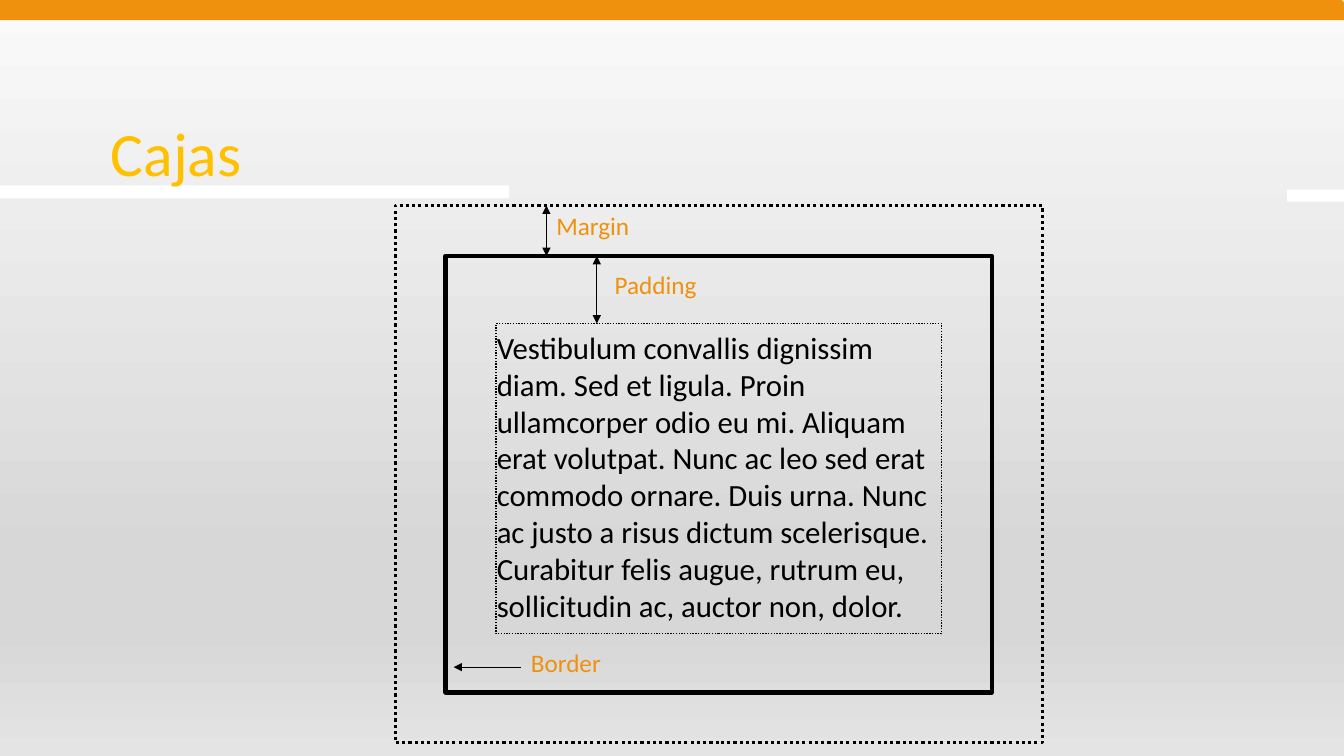
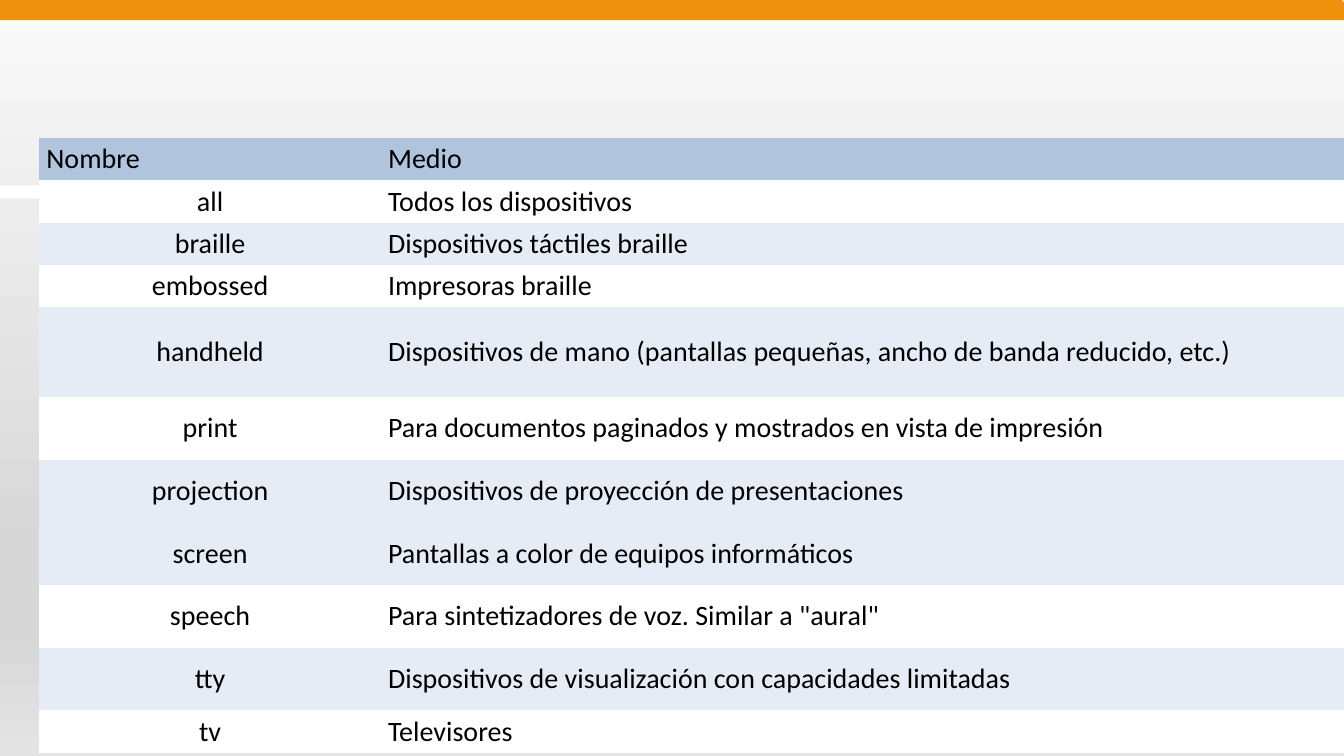
import pptx
import pptx.dml.color
import pptx.enum.dml
import pptx.enum.shapes
import pptx.enum.text
import pptx.oxml
import pptx.oxml.ns
import pptx.util
import lxml.etree

Cm = pptx.util.Cm
Pt = pptx.util.Pt
RGBColor = pptx.dml.color.RGBColor
MSO_SHAPE = pptx.enum.shapes.MSO_SHAPE
MSO_LINE = pptx.enum.dml.MSO_LINE
PP_ALIGN = pptx.enum.text.PP_ALIGN
MSO_ANCHOR = pptx.enum.text.MSO_ANCHOR
qn = pptx.oxml.ns.qn

FONT = "Calibri"
ORANGE = RGBColor(0xEF, 0x91, 0x0C)
GOLD = RGBColor(0xFF, 0xC0, 0x00)
BLACK = RGBColor(0x00, 0x00, 0x00)
WHITE = RGBColor(0xFF, 0xFF, 0xFF)
HEADER_BLUE = RGBColor(0xB0, 0xC4, 0xDE)
PALE_BLUE = RGBColor(0xE6, 0xEC, 0xF6)
LIGHT_GRAY = RGBColor(0xFA, 0xFA, 0xFA)
MID_GRAY = RGBColor(0xD7, 0xD7, 0xD7)
END_GRAY = RGBColor(0xE4, 0xE4, 0xE4)
NO_GRID_STYLE = "{2D5ABB26-0587-4C30-8999-92F81FD0307C}"


def write(text_frame, text, size, color):
    text_frame.text = text
    font = text_frame.paragraphs[0].runs[0].font
    font.name = FONT
    font.size = Pt(size)
    font.color.rgb = color


deck = pptx.Presentation()
deck.slide_width = Cm(33.87)
deck.slide_height = Cm(19.05)
master = deck.slide_master

backdrop = master.background.fill
backdrop.gradient()
backdrop.gradient_angle = 270
stops = master.element.find(".//" + qn("a:gsLst"))
for stop in list(stops):
    stops.remove(stop)
for position, gray in [(0, LIGHT_GRAY), (74, MID_GRAY), (83, MID_GRAY), (100, END_GRAY)]:
    stop = lxml.etree.SubElement(stops, qn("a:gs"), pos=str(position * 1000))
    lxml.etree.SubElement(stop, qn("a:srgbClr"), val=str(gray))

boxes_slide = deck.slides.add_slide(deck.slide_layouts[5])
media_slide = deck.slides.add_slide(deck.slide_layouts[6])

bands = [
    (MSO_SHAPE.ROUND_1_RECTANGLE, 0, 0, 33.87, 0.51, ORANGE),
    (MSO_SHAPE.RECTANGLE, 0, 4.67, 12.83, 0.33, WHITE),
    (MSO_SHAPE.RECTANGLE, 32.44, 4.78, 1.43, 0.3, WHITE),
]
for index, (outline, left, top, width, height, color) in enumerate(bands):
    band = boxes_slide.shapes.add_shape(outline, Cm(left), Cm(top), Cm(width), Cm(height))
    band.fill.solid()
    band.fill.fore_color.rgb = color
    band.line.fill.background()
    band.shadow.inherit = False
    band.element.nvSpPr.cNvPr.set("id", str(101 + index))
    master.shapes.element.insert(2 + index, band.element)

heading = boxes_slide.shapes.title
heading.left, heading.top = Cm(2.54), Cm(1.73)
heading.width, heading.height = Cm(28.78), Cm(4.45)
write(heading.text_frame, "Cajas", 44, GOLD)
heading.text_frame.vertical_anchor = MSO_ANCHOR.MIDDLE
heading.text_frame.paragraphs[0].alignment = PP_ALIGN.LEFT
heading.text_frame.paragraphs[0].line_spacing = 0.9

box_model = [
    (11.23, 6.45, 13.77, 11, 3, MSO_LINE.SOLID),
    (9.96, 5.18, 16.31, 13.54, 2.25, MSO_LINE.ROUND_DOT),
    (12.5, 8.15, 11.23, 7.82, 1, MSO_LINE.ROUND_DOT),
]
for left, top, width, height, weight, dash in box_model:
    frame = boxes_slide.shapes.add_shape(
        MSO_SHAPE.RECTANGLE, Cm(left), Cm(top), Cm(width), Cm(height))
    frame.fill.background()
    frame.line.color.rgb = BLACK
    frame.line.width = Pt(weight)
    frame.line.dash_style = dash
    frame.shadow.inherit = False

captions = [
    ("Vestibulum convallis dignissim diam. Sed et ligula. Proin ullamcorper odio eu mi. "
     "Aliquam erat volutpat. Nunc ac leo sed erat commodo ornare. Duis urna. Nunc ac justo "
     "a risus dictum scelerisque. Curabitur felis augue, rutrum eu, sollicitudin ac, "
     "auctor non, dolor.", 12.27, 8.15, 11.86, 7.77, 22, BLACK, True),
    ("Margin", 13.77, 5.18, 2.36, 1.02, 18, ORANGE, False),
    ("Padding", 15.24, 6.65, 3.6, 1.02, 18, ORANGE, True),
    ("Border", 13.13, 16.18, 3.81, 1.02, 18, ORANGE, True),
]
for text, left, top, width, height, size, color, wrap in captions:
    caption = boxes_slide.shapes.add_textbox(Cm(left), Cm(top), Cm(width), Cm(height))
    write(caption.text_frame, text, size, color)
    caption.text_frame.word_wrap = wrap
    caption.text_frame.auto_size = pptx.enum.text.MSO_AUTO_SIZE.SHAPE_TO_FIT_TEXT

arrows = [
    (13.77, 5.18, 13.77, 6.45, ["a:headEnd", "a:tailEnd"]),
    (15.04, 6.45, 15.04, 8.15, ["a:headEnd", "a:tailEnd"]),
    (13.13, 16.81, 11.43, 16.81, ["a:tailEnd"]),
]
for start_x, start_y, end_x, end_y, tips in arrows:
    arrow = boxes_slide.shapes.add_connector(
        pptx.enum.shapes.MSO_CONNECTOR.STRAIGHT,
        Cm(start_x), Cm(start_y), Cm(end_x), Cm(end_y))
    arrow.line.color.rgb = BLACK
    arrow.line.width = Pt(0.75)
    properties = arrow.element.spPr
    for tip in tips:
        lxml.etree.SubElement(properties.find(qn("a:ln")), qn(tip), type="triangle")
    lxml.etree.SubElement(properties, qn("a:effectLst"))

media = [
    ("Nombre", "Medio", 0.91, HEADER_BLUE),
    ("all", "Todos los dispositivos", 0.91, WHITE),
    ("braille", "Dispositivos táctiles braille", 0.91, PALE_BLUE),
    ("embossed", "Impresoras braille", 0.91, WHITE),
    ("handheld", "Dispositivos de mano (pantallas pequeñas, ancho de banda reducido, etc.)",
     2.26, PALE_BLUE),
    ("print", "Para documentos paginados y mostrados en vista de impresión", 1.58, WHITE),
    ("projection", "Dispositivos de proyección de presentaciones", 1.58, PALE_BLUE),
    ("screen", "Pantallas a color de equipos informáticos", 1.58, PALE_BLUE),
    ("speech", 'Para sintetizadores de voz. Similar a "aural"', 1.58, WHITE),
    ("tty", "Dispositivos de visualización con capacidades limitadas", 1.58, PALE_BLUE),
    ("tv", "Televisores", 0.91, WHITE),
]
media_frame = media_slide.shapes.add_table(
    len(media), 2, Cm(0.99), Cm(3.48), Cm(32.89), Cm(sum(row[2] for row in media)))
media_table = media_frame.table
media_table.first_row = False
media_table.horz_banding = False
media_frame.element.find(".//" + qn("a:tableStyleId")).text = NO_GRID_STYLE
media_table.columns[0].width = Cm(8.61)
media_table.columns[1].width = Cm(24.28)
for row, (name, medium, height, color) in enumerate(media):
    media_table.rows[row].height = Cm(height)
    for column, text in enumerate((name, medium)):
        cell = media_table.cell(row, column)
        write(cell.text_frame, text, 20, BLACK)
        cell.fill.solid()
        cell.fill.fore_color.rgb = color
        cell.vertical_anchor = MSO_ANCHOR.MIDDLE
        cell.margin_left = cell.margin_right = Cm(0.18)
        cell.margin_top = cell.margin_bottom = Cm(0.1)
        if row > 0 and column == 0:
            cell.text_frame.paragraphs[0].alignment = PP_ALIGN.CENTER

deck.save("out.pptx")
